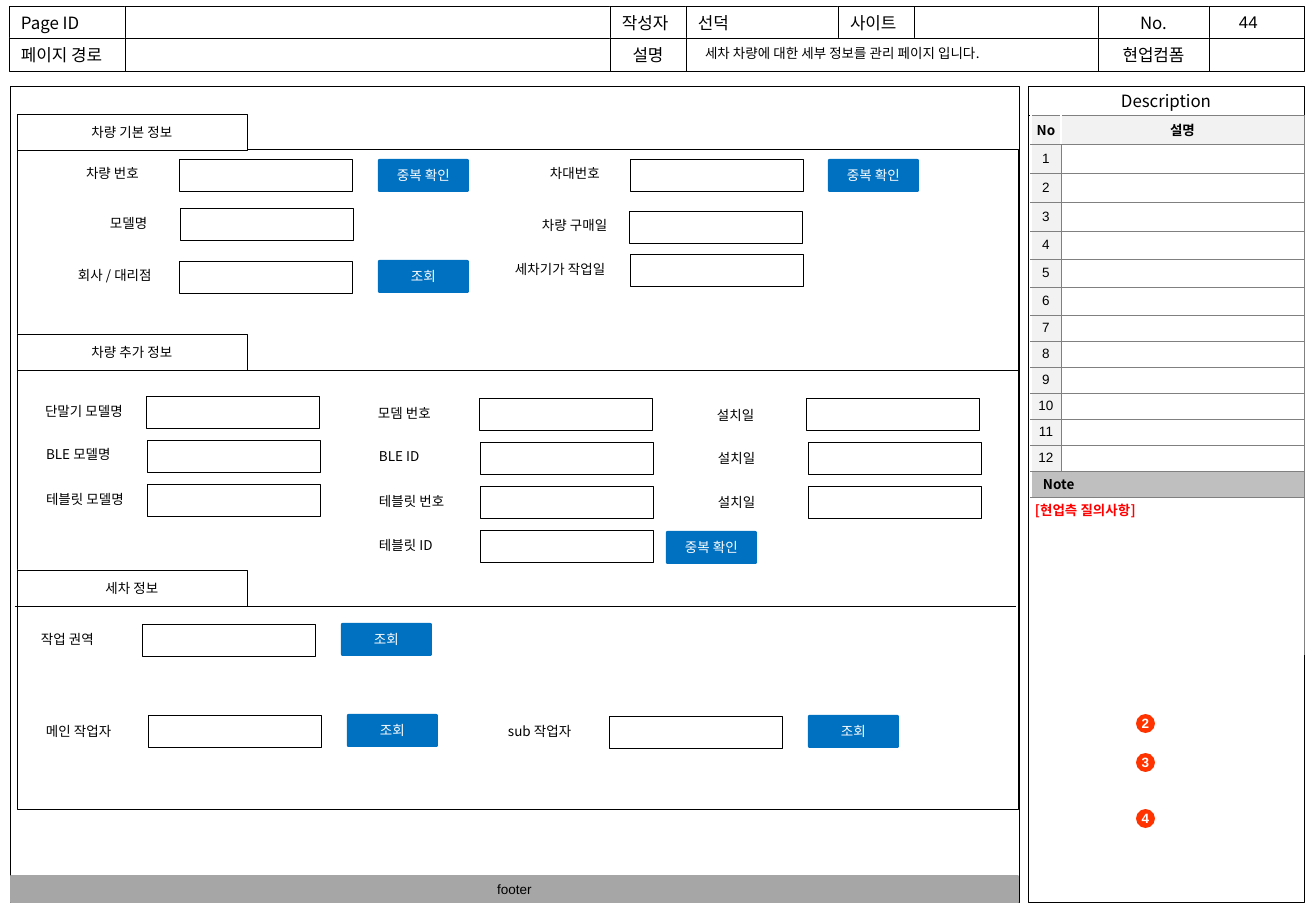
from lxml.etree import SubElement
from pptx import Presentation
from pptx.dml.color import RGBColor
from pptx.enum.shapes import MSO_CONNECTOR as CONN, MSO_SHAPE as SHAPE
from pptx.enum.text import MSO_ANCHOR as ANCHOR, PP_ALIGN as ALIGN
from pptx.oxml import parse_xml
from pptx.oxml.ns import nsdecls, qn
from pptx.util import Pt

PX = 7526
KR, ARIAL = "Noto Sans CJK KR", "Arial"
COLORS = {
    "black": "000000", "white": "FFFFFF", "blue": "0070C0", "badge": "FF3300",
    "footer": "A6A6A6", "head": "F2F2F2", "note": "BFBFBF", "grid": "808080",
    "red": "FF0000",
}
TOP_ROWS = [
    (6, [("Page ID", 9, "l"), ("", 125, "l"), ("작성자", 610, "l"),
         ("선덕", 686, "l"), ("사이트", 838, "l"), ("", 914, "l"),
         ("No.", 1098, "c"), ("", 1209, "l")]),
    (38, [("페이지 경로", 9, "l"), ("", 125, "l"), ("설명", 610, "c"),
          ("", 686, "l"), ("현업컴폼", 1098, "c"), ("", 1209, "l")]),
]
TOP_RIGHT = 1304
TABS = [("차량 기본 정보", 114), ("차량 추가 정보", 334), ("세차 정보", 570)]
DIVIDERS = [(17, 370), (15, 606)]
FIELDS = [
    ("차량 번호", 74, 159, 89, 179, 159),
    ("차대번호", 538, 159, 89, 630, 159),
    ("모델명", 98, 209, 66, 180, 208),
    ("차량 구매일", 530, 211, 97, 629, 211),
    ("회사 / 대리점", 66, 261, 113, 179, 261),
    ("세차기가 작업일", 503, 255, 125, 630, 254),
    ("단말기 모델명", 33, 397, 112, 146, 396),
    ("모뎀 번호", 366, 399, 89, 479, 398),
    ("설치일", 705, 401, 75, 806, 398),
    ("BLE 모델명", 34, 440, 92, 147, 440),
    ("BLE ID", 367, 442, 69, 480, 442),
    ("설치일", 706, 444, 75, 808, 442),
    ("테블릿 모델명", 34, 485, 112, 147, 484),
    ("테블릿 번호", 367, 487, 97, 480, 486),
    ("설치일", 706, 488, 75, 808, 486),
    ("테블릿 ID", 367, 531, 84, 480, 530),
    ("작업 권역", 29, 625, 89, 142, 624),
    ("메인 작업자", 34, 717, 102, 148, 715),
    ("sub 작업자", 496, 717, 97, 609, 716),
]
BUTTONS = [
    ("중복 확인", 378, 159), ("중복 확인", 828, 159), ("조회", 378, 260),
    ("중복 확인", 666, 531), ("조회", 341, 623), ("조회", 347, 714),
    ("조회", 808, 715),
]
BADGES = [("2", 714), ("3", 753), ("4", 809)]
ROW_HEIGHTS = [29] * 4 + [28] * 3 + [26] * 7 + [158]


def px(*values):
    return [v * PX for v in values]


def rgb(name):
    return RGBColor.from_string(COLORS[name])


def write(tf, text, size=8, color="black", font=KR, bold=False, align="c"):
    p = tf.paragraphs[0]
    p.alignment = ALIGN.CENTER if align == "c" else ALIGN.LEFT
    if not text:
        p._p.get_or_add_endParaRPr().set("sz", str(size * 100))
        return
    r = p.add_run()
    r.text = text
    r.font.size = Pt(size)
    r.font.bold = bold
    r.font.name = font
    r.font.color.rgb = rgb(color)
    SubElement(r.font._element, qn("a:ea")).set("typeface", font)


def add_box(slide, x, y, w, h, text="", kind=SHAPE.RECTANGLE, fill="white",
            line="black", weight=0.25, inset=5, **style):
    s = slide.shapes.add_shape(kind, *px(x, y, w, h))
    s.shadow.inherit = False
    s.fill.solid()
    s.fill.fore_color.rgb = rgb(fill)
    if line:
        s.line.color.rgb = rgb(line)
        s.line.width = Pt(weight)
    else:
        s.line.fill.background()
    if text:
        tf = s.text_frame
        tf.margin_left = tf.margin_right = inset * PX
        tf.margin_top = tf.margin_bottom = 0
        tf.vertical_anchor = ANCHOR.MIDDLE
        write(tf, text, **style)
    return s


def add_label(slide, text, x, y, w, h=29, **style):
    tf = slide.shapes.add_textbox(*px(x, y, w, h)).text_frame
    tf.word_wrap = True
    tf.margin_left = 12 * PX
    tf.margin_right = tf.margin_top = tf.margin_bottom = 0
    tf.vertical_anchor = ANCHOR.MIDDLE
    write(tf, text, align="l", **style)


def add_field(slide, text, x, y, w, field_x, field_y):
    add_label(slide, text, x, y, w)
    add_box(slide, field_x, field_y, 173, 32)


def add_button(slide, text, x, y):
    s = add_box(slide, x, y, 91, 33, text, SHAPE.ROUNDED_RECTANGLE, "blue",
                None, color="white")
    s.adjustments[0] = 0.05


def add_badge(slide, text, y):
    add_box(slide, 1136, y, 19, 19, text, SHAPE.OVAL, "badge", None, inset=0,
            color="white", font=ARIAL, bold=True)


def add_divider(slide, x, y):
    s = slide.shapes.add_connector(CONN.STRAIGHT, *px(x, y, x + 1001, y))
    s.line.color.rgb = rgb("black")
    s.line.width = Pt(0.25)
    SubElement(s._element.spPr, qn("a:effectLst"))


def set_borders(cell, sides):
    tc_pr = cell._tc.get_or_add_tcPr()
    for i, side in enumerate(sides):
        tc_pr.insert(i, parse_xml(
            f'<a:ln{side} {nsdecls("a")} w="3175"><a:solidFill>'
            f'<a:srgbClr val="{COLORS["grid"]}"/></a:solidFill></a:ln{side}>'))


def fill_cell(cell, text, fill, sides="RTB", left=4, anchor=ANCHOR.MIDDLE, **style):
    cell.fill.solid()
    cell.fill.fore_color.rgb = rgb(fill)
    cell.margin_left, cell.margin_right = px(left, 4)
    cell.margin_top = cell.margin_bottom = 3 * PX
    cell.vertical_anchor = anchor
    write(cell.text_frame, text, **style)
    set_borders(cell, sides)


def add_description_table(slide):
    table = slide.shapes.add_table(
        len(ROW_HEIGHTS), 2, *px(1031, 115, 273, sum(ROW_HEIGHTS))).table
    table.first_row = table.horz_banding = False
    for col, w in zip(table.columns, (30, 243)):
        col.width = w * PX
    for row, h in zip(table.rows, ROW_HEIGHTS):
        row.height = h * PX
    for c, text in enumerate(("No", "설명")):
        fill_cell(table.cell(0, c), text, "head", bold=True)
    for n in range(1, 13):
        fill_cell(table.cell(n, 0), str(n), "head", font=ARIAL)
        fill_cell(table.cell(n, 1), "", "white", "LRTB")
    for n in (13, 14):
        table.cell(n, 0).merge(table.cell(n, 1))
    fill_cell(table.cell(13, 0), "Note", "note", left=12, bold=True, align="l")
    fill_cell(table.cell(14, 0), "[현업측 질의사항]", "white", "RT",
              anchor=ANCHOR.TOP, color="red", bold=True, align="l")


def add_top_rows(slide):
    for y, cells in TOP_ROWS:
        edges = [x for _, x, _ in cells] + [TOP_RIGHT]
        for (text, x, align), right in zip(cells, edges[1:]):
            add_box(slide, x, y, right - x, 33, text, size=10, align=align,
                    inset=12 if align == "l" else 5)
    add_label(slide, "44", 1227, 5, 46, 33, size=10, font=ARIAL)
    add_label(slide, "세차 차량에 대한 세부 정보를 관리 페이지 입니다.", 693, 39, 392)


def main():
    prs = Presentation()
    prs.slide_width, prs.slide_height = px(1316, 911)
    slide = prs.slides.add_slide(prs.slide_layouts[6])
    add_top_rows(slide)
    add_box(slide, 1028, 115, 276, 787)
    add_box(slide, 1028, 86, 276, 29, "Description", size=10)
    add_box(slide, 10, 86, 1009, 816)
    add_description_table(slide)
    for badge in BADGES:
        add_badge(slide, *badge)
    add_box(slide, 11, 876, 1007, 27, "footer", fill="footer", line="footer",
            weight=0.75, font=ARIAL)
    add_box(slide, 17, 149, 1001, 660)
    for text, y in TABS:
        add_box(slide, 17, y, 230, 36, text)
    for divider in DIVIDERS:
        add_divider(slide, *divider)
    for field in FIELDS:
        add_field(slide, *field)
    for button in BUTTONS:
        add_button(slide, *button)
    prs.save("out.pptx")


if __name__ == "__main__":
    main()
